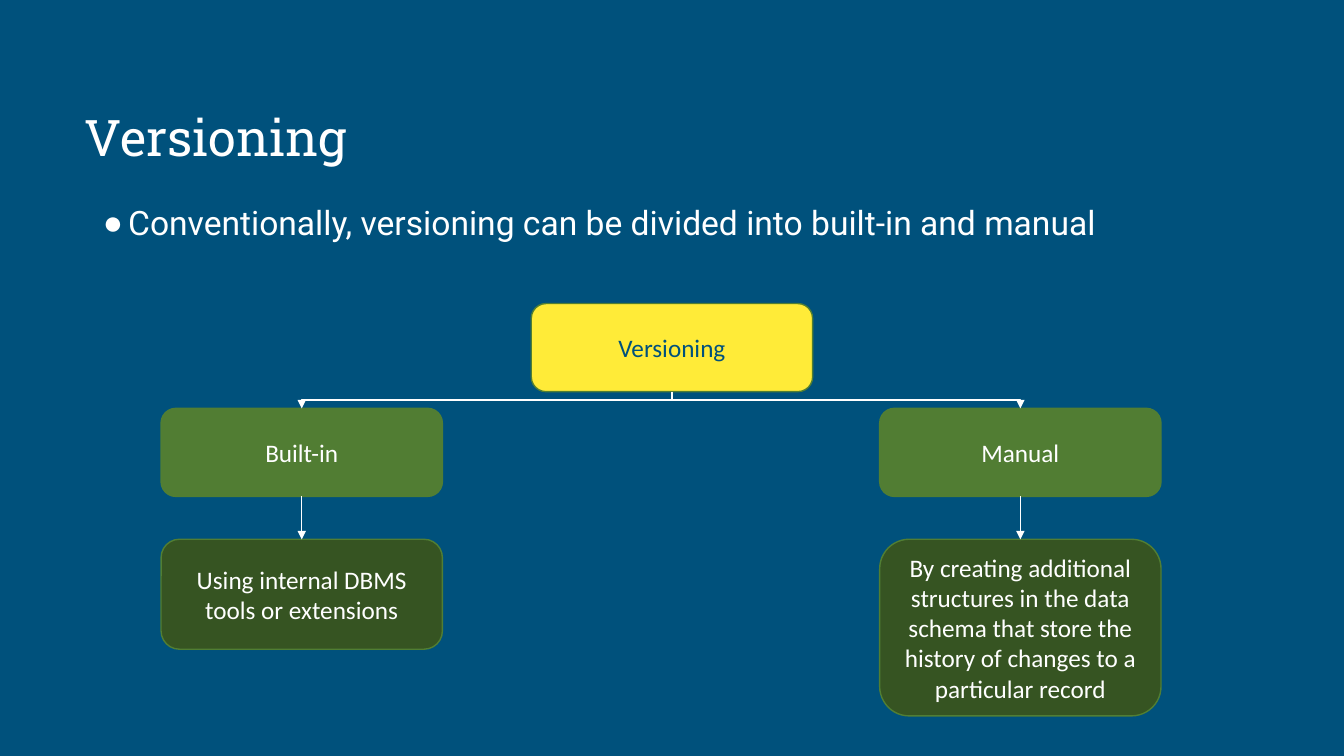
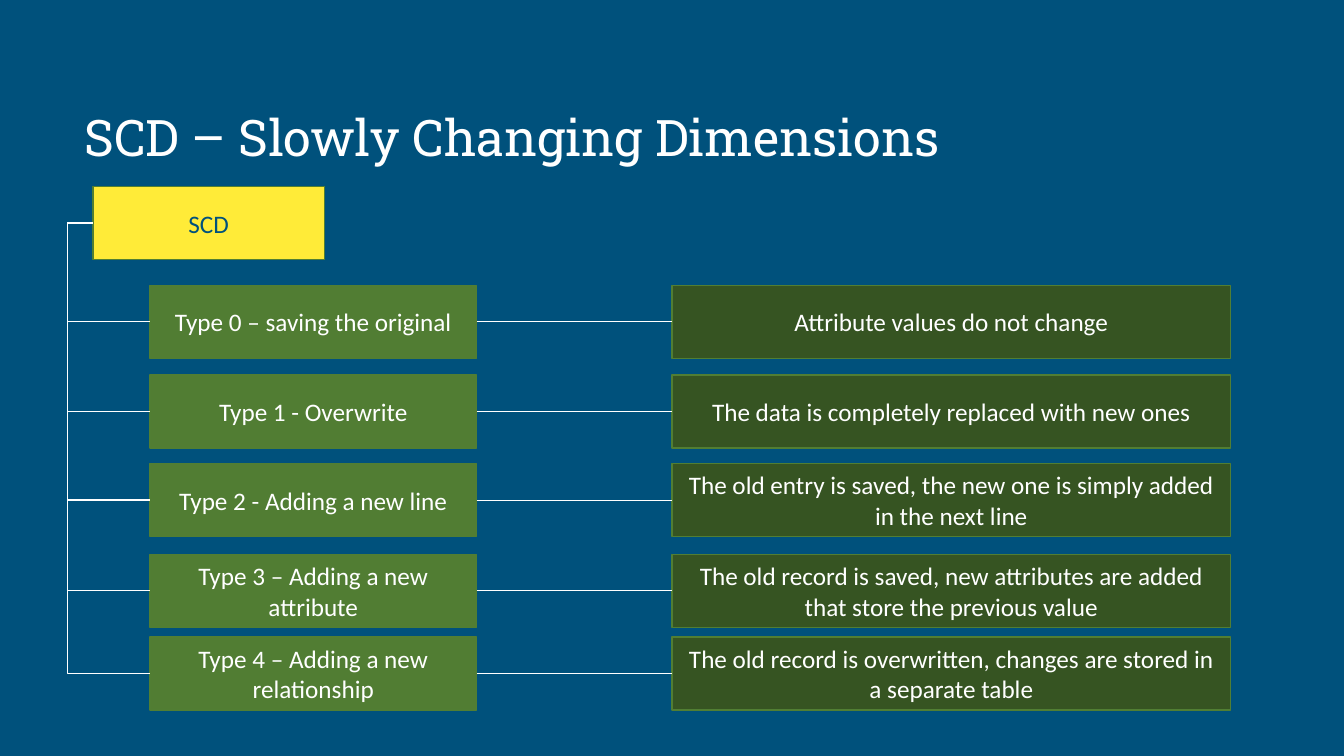
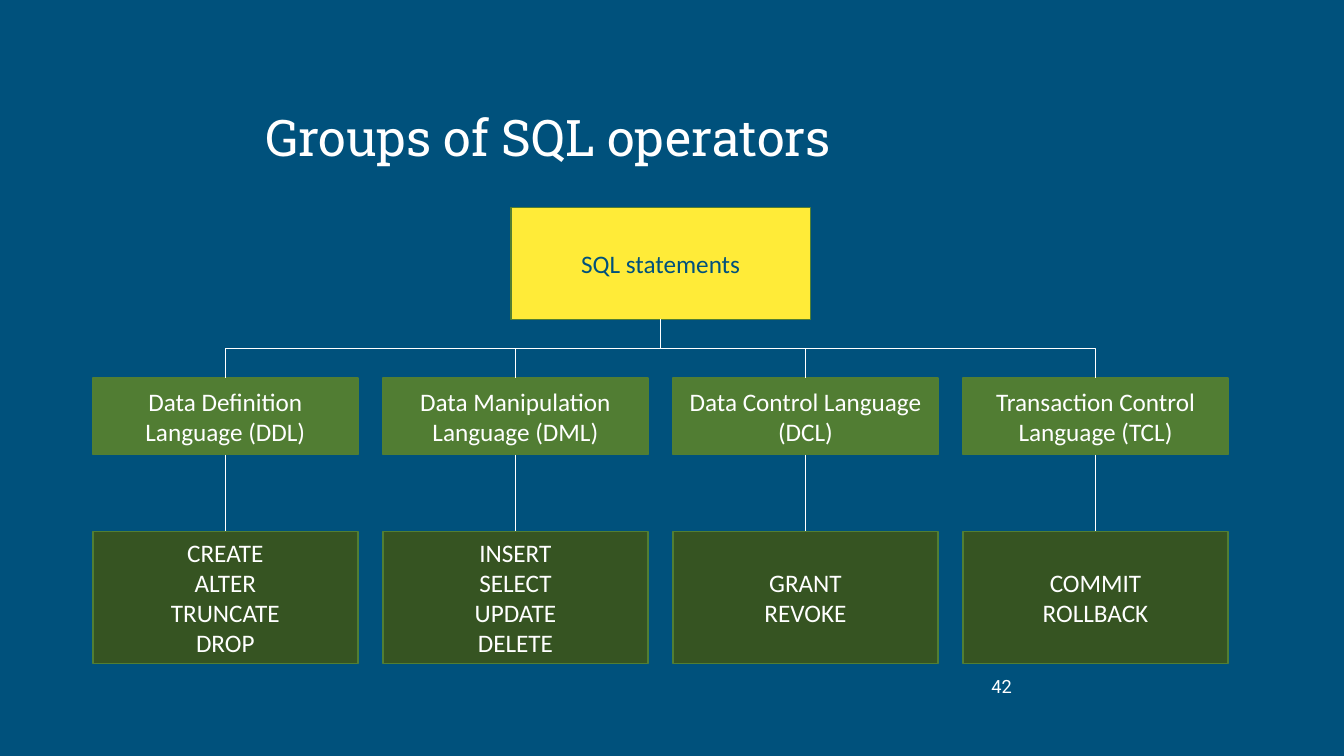
from dataclasses import dataclass

from lxml import etree
from pptx import Presentation
from pptx.dml.color import RGBColor
from pptx.enum.shapes import MSO_CONNECTOR, MSO_SHAPE
from pptx.enum.text import MSO_ANCHOR, MSO_AUTO_SIZE, PP_ALIGN
from pptx.oxml.ns import qn
from pptx.util import Cm, Pt

RECTANGLE, ROUNDED = MSO_SHAPE.RECTANGLE, MSO_SHAPE.ROUNDED_RECTANGLE
STRAIGHT, ELBOW = MSO_CONNECTOR.STRAIGHT, MSO_CONNECTOR.ELBOW
LEFT, CENTER, RIGHT = PP_ALIGN.LEFT, PP_ALIGN.CENTER, PP_ALIGN.RIGHT
TOP, MIDDLE = MSO_ANCHOR.TOP, MSO_ANCHOR.MIDDLE
NO_AUTOFIT = MSO_AUTO_SIZE.NONE

# Layouts of the default template
TITLE_AND_BODY, TITLE_ONLY = 1, 5

# Connection sites of a rectangle
SITE_TOP, SITE_LEFT, SITE_BOTTOM, SITE_RIGHT = range(4)


@dataclass(frozen=True)
class Theme:
    background: str = "00517C"
    white: str = "FFFFFF"
    root: str = "FFEB38"
    branch: str = "517D33"
    note: str = "365422"
    outline: str = "517E33"
    title_font: str = "Roboto Slab"
    body_font: str = "Roboto"
    box_font: str = "Calibri"
    title_size: int = 36
    body_size: int = 24
    box_size: int = 18
    number_size: int = 13
    outline_width: float = 1
    connector_width: float = 0.75


THEME = Theme()
TITLE_AREA = (1.88, 1.7, 23.88, 3.66)
BODY_AREA = (2.34, 5.08, 29.21, 3.68)
NUMBER_AREA = (23.85, 16.79, 1.9, 1.02)


# Text and placement
def color(value):
    return RGBColor.from_string(value)


def place(shape, area):
    for name, length in zip(("left", "top", "width", "height"), area):
        setattr(shape, name, Cm(length))


def write(shape, text, font, size, ink, align, anchor=MIDDLE, spacing=1.0):
    frame = shape.text_frame
    frame_format = {
        "text": text, "word_wrap": True, "auto_size": NO_AUTOFIT,
        "vertical_anchor": anchor,
        "margin_left": Cm(0.25), "margin_right": Cm(0.25),
        "margin_top": Cm(0.13), "margin_bottom": Cm(0.13),
    }
    para_format = {"alignment": align, "line_spacing": spacing, "space_before": Pt(0)}
    for name, value in frame_format.items():
        setattr(frame, name, value)
    for para in frame.paragraphs:
        for name, value in para_format.items():
            setattr(para, name, value)
        for span in para.runs:
            span.font.name = font
            span.font.size = Pt(size)
            span.font.color.rgb = color(ink)


# Placeholders
def add_page(deck, title, layout=TITLE_ONLY, align=LEFT):
    page = deck.slides.add_slide(deck.slide_layouts[layout])
    place(page.shapes.title, TITLE_AREA)
    write(page.shapes.title, title, THEME.title_font, THEME.title_size,
          THEME.white, align, spacing=0.9)
    return page


def fill_body(page, text):
    body = page.placeholders[1]
    place(body, BODY_AREA)
    write(body, text, THEME.body_font, THEME.body_size, THEME.white, LEFT, TOP, 0.9)
    for para in body.text_frame.paragraphs:
        properties = para._p.get_or_add_pPr()
        properties.set("marL", str(Cm(0.64)))
        properties.set("indent", str(-Cm(0.64)))
        bullet_color = etree.SubElement(properties, qn("a:buClr"))
        etree.SubElement(bullet_color, qn("a:srgbClr"), val=THEME.white)
        etree.SubElement(properties, qn("a:buChar"), char="●")


def add_page_number(page, number):
    box = page.shapes.add_textbox(*map(Cm, NUMBER_AREA))
    write(box, number, THEME.body_font, THEME.number_size, THEME.white, RIGHT)


# Diagram boxes
def add_box(page, text, area, fill, ink=THEME.white, outline=RECTANGLE):
    box = page.shapes.add_shape(outline, *map(Cm, area))
    box.shadow.inherit = False
    box.fill.solid()
    box.fill.fore_color.rgb = color(fill)
    box.line.color.rgb = color(THEME.outline)
    box.line.width = Pt(THEME.outline_width)
    write(box, text, THEME.box_font, THEME.box_size, ink, CENTER)
    return box


def add_root(page, text, area, outline=RECTANGLE):
    return add_box(page, text, area, THEME.root, THEME.background, outline)


# Connectors
def connect(page, kind, start, start_site, end, end_site, arrow=False):
    link = page.shapes.add_connector(kind, 0, 0, 0, 0)
    link.begin_connect(start, start_site)
    link.end_connect(end, end_site)
    link.line.color.rgb = color(THEME.white)
    link.line.width = Pt(THEME.connector_width)
    if arrow:
        etree.SubElement(link.line._get_or_add_ln(), qn("a:tailEnd"), type="triangle")
    etree.SubElement(link._element.spPr, qn("a:effectLst"))
    return link


def connect_down(page, upper, lower, arrow=False):
    return connect(page, STRAIGHT, upper, SITE_BOTTOM, lower, SITE_TOP, arrow)


def branch_down(page, upper, lower, arrow=False):
    """Elbow that leaves downwards: a sideways elbow turned by a quarter."""
    link = connect(page, ELBOW, upper, SITE_BOTTOM, lower, SITE_TOP, arrow)
    start_x = upper.left + upper.width // 2
    end_x = lower.left + lower.width // 2
    start_y, end_y = upper.top + upper.height, lower.top
    span_x, span_y = abs(end_x - start_x), end_y - start_y
    geometry = {
        "left": (start_x + end_x - span_y) // 2,
        "top": (start_y + end_y - span_x) // 2,
        "width": span_y, "height": span_x,
    }
    for name, value in geometry.items():
        setattr(link, name, value)
    to_right = end_x > start_x
    transform = link._element.spPr.find(qn("a:xfrm"))
    transform.set("rot", str((270 if to_right else 90) * 60000))
    transform.set("flipH", "1" if to_right else "0")


def branch_from_rail(page, root, item, rail):
    """Elbow that runs down a rail to the left of both boxes."""
    link = connect(page, ELBOW, root, SITE_LEFT, item, SITE_LEFT)
    bend = round(100000 * (Cm(rail) - root.left) / (item.left - root.left))
    adjustments = link._element.spPr.find(qn("a:prstGeom")).get_or_add_avLst()
    etree.SubElement(adjustments, qn("a:gd"), name="adj1", fmla=f"val {bend}")


# Slides
def build_versioning(deck):
    page = add_page(deck, "Versioning", TITLE_AND_BODY)
    fill_body(page, "Conventionally, versioning can be divided into built-in and manual")
    width, height = 7.09, 2.22
    root = add_root(page, "Versioning", (13.39, 7.65, width, height), ROUNDED)
    kinds = [
        (4.06, "Built-in", 2.77, "Using internal DBMS tools or extensions"),
        (22.17, "Manual", 4.45,
         "By creating additional structures in the data schema that store "
         "the history of changes to a particular record"),
    ]
    for left, name, note_height, text in kinds:
        branch = add_box(page, name, (left, 10.29, width, height),
                         THEME.branch, outline=ROUNDED)
        note = add_box(page, text, (left, 13.59, width, note_height),
                       THEME.note, outline=ROUNDED)
        branch_down(page, root, branch, arrow=True)
        connect_down(page, branch, note, arrow=True)


def build_dimensions(deck):
    page = add_page(deck, "SCD – Slowly Changing Dimensions")
    height = 1.84
    root = add_root(page, "SCD", (2.34, 4.7, 5.84, height))
    types = [
        (7.19, "Type 0 – saving the original", "Attribute values do not change"),
        (9.45, "Type 1 - Overwrite", "The data is completely replaced with new ones"),
        (11.68, "Type 2 - Adding a new line",
         "The old entry is saved, the new one is simply added in the next line"),
        (13.97, "Type 3 – Adding a new attribute",
         "The old record is saved, new attributes are added that store the previous value"),
        (16.05, "Type 4 – Adding a new relationship",
         "The old record is overwritten, changes are stored in a separate table"),
    ]
    for top, name, text in types:
        branch = add_box(page, name, (3.78, top, 8.23, height), THEME.branch)
        note = add_box(page, text, (16.94, top, 14.07, height), THEME.note)
        branch_from_rail(page, root, branch, rail=1.7)
        connect(page, STRAIGHT, branch, SITE_RIGHT, note, SITE_LEFT)


def build_operators(deck):
    page = add_page(deck, "Groups of SQL operators", align=CENTER)
    add_page_number(page, "42")
    root = add_root(page, "SQL statements", (12.88, 5.23, 7.54, 2.82))
    first_left, pitch, width = 2.34, 7.31, 6.68
    groups = [
        ("Data Definition Language (DDL)", ["CREATE", "ALTER", "TRUNCATE", "DROP"]),
        ("Data Manipulation Language (DML)", ["INSERT", "SELECT", "UPDATE", "DELETE"]),
        ("Data Control Language (DCL)", ["GRANT", "REVOKE"]),
        ("Transaction Control Language (TCL)", ["COMMIT", "ROLLBACK"]),
    ]
    for column, (name, commands) in enumerate(groups):
        left = first_left + column * pitch
        branch = add_box(page, name, (left, 9.53, width, 1.93), THEME.branch)
        note = add_box(page, "\n".join(commands), (left, 13.39, width, 3.33), THEME.note)
        branch_down(page, root, branch)
        connect_down(page, branch, note)


def main():
    deck = Presentation()
    deck.slide_width, deck.slide_height = Cm(33.87), Cm(19.05)
    backdrop = deck.slide_master.background.fill
    backdrop.solid()
    backdrop.fore_color.rgb = color(THEME.background)
    build_versioning(deck)
    build_dimensions(deck)
    build_operators(deck)
    deck.save("out.pptx")


if __name__ == "__main__":
    main()
